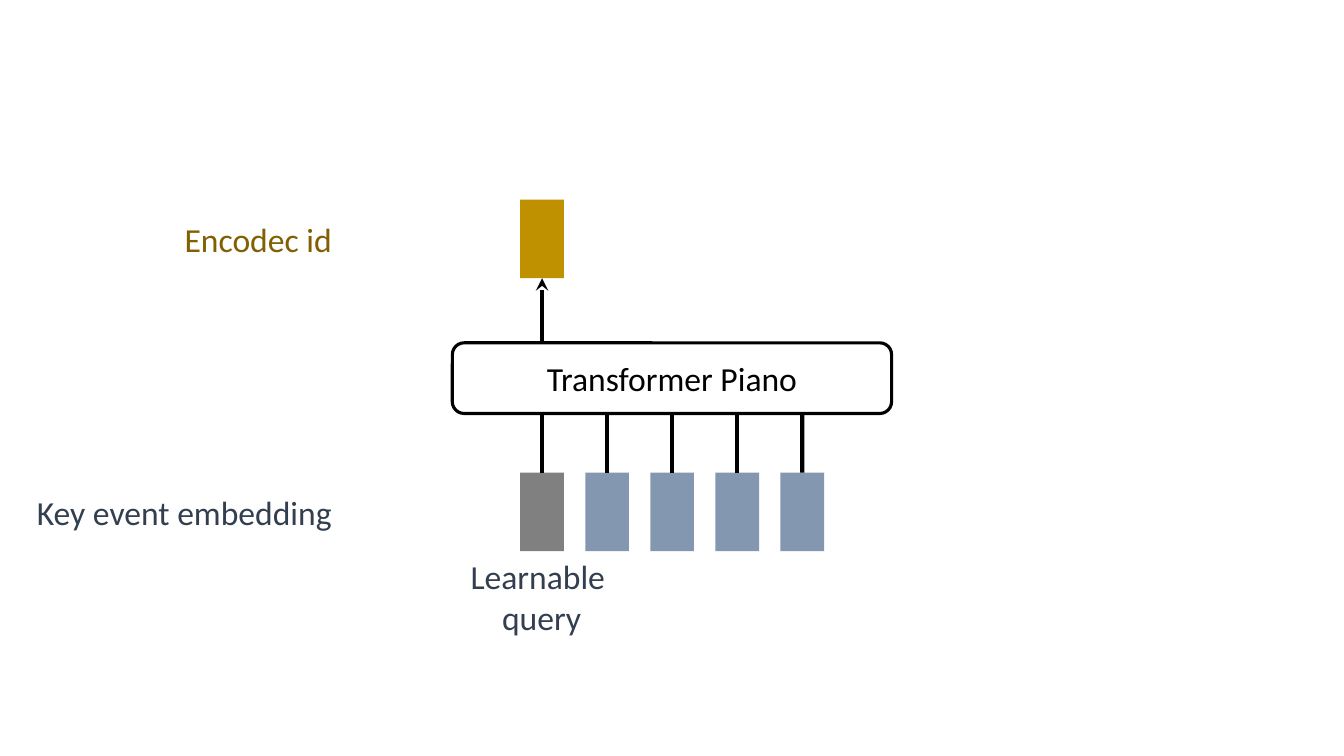
from lxml import etree
from pptx import Presentation
from pptx.dml.color import RGBColor
from pptx.enum import shapes, text
from pptx.oxml import ns
from pptx.util import Cm, Pt

FONT, TEXT_SIZE = "Calibri", 24
BLACK, WHITE, NAVY = "000000", "FFFFFF", "333F50"
GOLD, DARK_GOLD = "BF9000", "806000"
QUERY_GREY, KEY_BLUE = "808080", "8497B0"

# Lengths in centimetres
BAR_WIDTH, BAR_HEIGHT, BAR_PITCH = 1.1, 1.98, 1.64
FIRST_CENTRE, OUTPUT_TOP, INPUT_TOP = 13.66, 5.03, 11.91
HIDDEN_TIP = 9.27
INPUT_COLOURS = [QUERY_GREY] + [KEY_BLUE] * 4
TRANSFORMER = ("Transformer Piano", (11.4, 8.64, 11.07, 1.78))
LABELS = [
    ("Key event embedding", (0.3, 12.27, 8.31, 1.27), NAVY, text.PP_ALIGN.RIGHT),
    ("Encodec id", (2.74, 5.38, 5.87, 1.27), DARK_GOLD, text.PP_ALIGN.RIGHT),
    ("Learnable \nquery", (11.3, 13.89, 4.7, 2.31), NAVY, text.PP_ALIGN.CENTER),
]

deck = Presentation()
deck.slide_width, deck.slide_height = Cm(33.87), Cm(19.05)
page = deck.slides.add_slide(deck.slide_layouts[6])


def colour(code):
    return RGBColor.from_string(code)


def write(box, words, ink=BLACK, align=text.PP_ALIGN.CENTER, anchor=text.MSO_ANCHOR.TOP):
    frame = box.text_frame
    frame.word_wrap = True
    frame.vertical_anchor = anchor
    para = frame.paragraphs[0]
    para.text = words
    para.alignment = align
    for span in para.runs:
        span.font.name, span.font.size = FONT, Pt(TEXT_SIZE)
        span.font.color.rgb = colour(ink)


def add_box(kind, place, fill, line=None):
    box = page.shapes.add_shape(kind, *map(Cm, place))
    box.shadow.inherit = False
    box.fill.solid()
    box.fill.fore_color.rgb = colour(fill)
    if line:
        box.line.color.rgb = colour(line)
        box.line.width = Pt(2.25)
    else:
        box.line.fill.background()
    return box


def add_bar(centre, top, fill):
    place = (centre - BAR_WIDTH / 2, top, BAR_WIDTH, BAR_HEIGHT)
    return add_box(shapes.MSO_SHAPE.RECTANGLE, place, fill)


def add_arrow(source, centre, target=None):
    """Arrow up from a bar, to the target bar or to a tip behind the transformer."""
    arrow = page.shapes.add_connector(
        shapes.MSO_CONNECTOR.STRAIGHT, Cm(centre), Cm(INPUT_TOP), Cm(centre), Cm(HIDDEN_TIP))
    arrow.begin_connect(source, 0)
    if target is not None:
        arrow.end_connect(target, 2)
    arrow.line.color.rgb = colour(BLACK)
    arrow.line.width = Pt(3)
    etree.SubElement(arrow.line._get_or_add_ln(), ns.qn("a:tailEnd"), type="stealth")
    etree.SubElement(arrow._element.spPr, ns.qn("a:effectLst"))


output_bar = add_bar(FIRST_CENTRE, OUTPUT_TOP, GOLD)
for index, fill in enumerate(INPUT_COLOURS):
    centre = FIRST_CENTRE + index * BAR_PITCH
    input_bar = add_bar(centre, INPUT_TOP, fill)
    add_arrow(input_bar, centre, output_bar if index == 0 else None)

title, place = TRANSFORMER
transformer = add_box(shapes.MSO_SHAPE.ROUNDED_RECTANGLE, place, WHITE, BLACK)
write(transformer, title, anchor=text.MSO_ANCHOR.MIDDLE)

for words, place, ink, align in LABELS:
    write(page.shapes.add_textbox(*map(Cm, place)), words, ink=ink, align=align)

deck.save("out.pptx")
